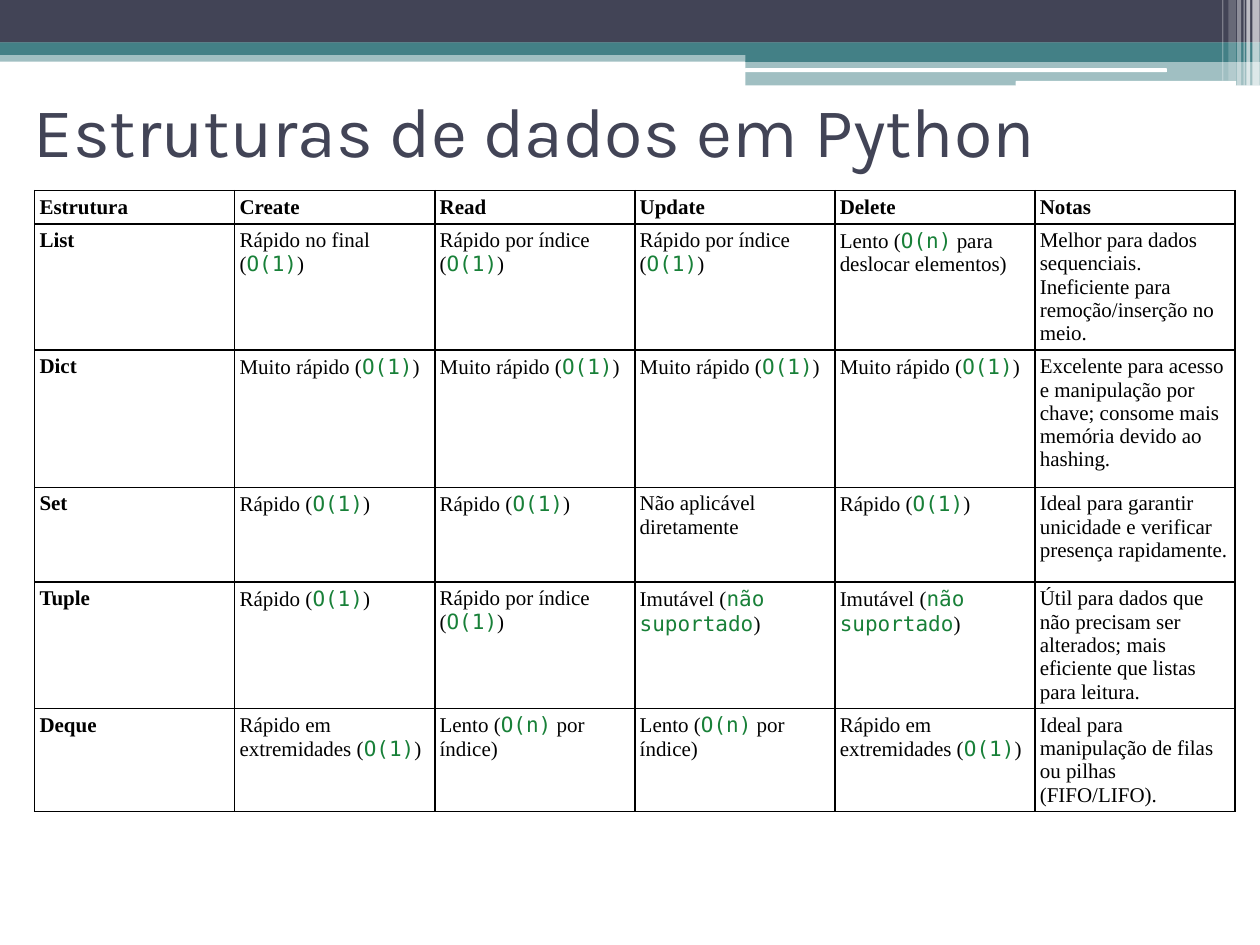
from lxml import etree
from pptx import Presentation
from pptx.dml.color import RGBColor
from pptx.enum.shapes import MSO_SHAPE
from pptx.enum.text import MSO_ANCHOR, PP_ALIGN
from pptx.oxml.ns import qn
from pptx.util import Pt

RECT, ROUND = MSO_SHAPE.RECTANGLE, MSO_SHAPE.ROUNDED_RECTANGLE
MIDDLE, LEFT = MSO_ANCHOR.MIDDLE, PP_ALIGN.LEFT
NAVY = RGBColor(0x42, 0x44, 0x56)
TEAL = RGBColor(0x43, 0x80, 0x86)
WHITE = RGBColor(0xFF, 0xFF, 0xFF)
BLACK = RGBColor(0x00, 0x00, 0x00)
GREEN = RGBColor(0x18, 0x80, 0x38)

BARS = [
    (RECT, 0, 28.8, 720, 6.4, TEAL, 50),
    (RECT, 0, 0, 720, 24.4, NAVY, 100),
    (RECT, 0, 24.2, 720, 7.2, TEAL, 100),
    (RECT, 426, 28.2, 294, 7.2, TEAL, 100),
    (RECT, 426, 34.6, 294, 14.2, TEAL, 50),
    (ROUND, 425.6, 39, 241.2, 2.2, WHITE, 100),
    (ROUND, 580.4, 46.2, 126, 2.9, WHITE, 100),
    (RECT, 715.6, 0, 4.2, 48.9, WHITE, 65),
    (RECT, 712.2, 0, 2.2, 48.9, WHITE, 65),
    (RECT, 710.6, 0, 0.7, 48.9, WHITE, 60),
    (RECT, 707, 0, 2.2, 48.9, WHITE, 40),
    (RECT, 702, 0, 4.3, 46.1, WHITE, 20),
    (RECT, 698.4, 0, 0.7, 46.1, WHITE, 30),
]

ROWS = [
    (14, ["Estrutura", "Create", "Read", "Update", "Delete", "Notas"]),
    (70.9, ["List", "Rápido no final (`O(1)`)", "Rápido por índice (`O(1)`)",
            "Rápido por índice (`O(1)`)", "Lento (`O(n)` para deslocar elementos)",
            "Melhor para dados sequenciais. Ineficiente para remoção/inserção no meio."]),
    (78.4, ["Dict"] + ["Muito rápido (`O(1)`)"] * 4
     + ["Excelente para acesso e manipulação por chave; consome mais memória devido ao hashing."]),
    (54.2, ["Set", "Rápido (`O(1)`)", "Rápido (`O(1)`)", "Não aplicável diretamente",
            "Rápido (`O(1)`)",
            "Ideal para garantir unicidade e verificar presença rapidamente."]),
    (70.9, ["Tuple", "Rápido (`O(1)`)", "Rápido por índice (`O(1)`)",
            "Imutável (`não suportado`)", "Imutável (`não suportado`)",
            "Útil para dados que não precisam ser alterados; mais eficiente que listas para leitura."]),
    (54.2, ["Deque", "Rápido em extremidades (`O(1)`)", "Lento (`O(n)` por índice)",
            "Lento (`O(n)` por índice)", "Rápido em extremidades (`O(1)`)",
            "Ideal para manipulação de filas ou pilhas (FIFO/LIFO)."]),
]


def add_borders(cell):
    tcPr = cell._tc.get_or_add_tcPr()
    for side in ("a:lnL", "a:lnR", "a:lnT", "a:lnB"):
        ln = etree.SubElement(tcPr, qn(side), w=str(Pt(1)))
        fill = etree.SubElement(ln, qn("a:solidFill"))
        etree.SubElement(fill, qn("a:srgbClr"), val=str(BLACK))


def fill_cell(cell, text, bold):
    cell.margin_left = cell.margin_right = Pt(2.8)
    cell.margin_top = cell.margin_bottom = Pt(2.8)
    add_borders(cell)
    cell.fill.background()
    p = cell.text_frame.paragraphs[0]
    p.space_after = Pt(4)
    p.font.size = Pt(12)
    p.font.bold = bold
    for i, part in enumerate(text.split("`")):
        r = p.add_run()
        r.text = part
        r.font.name = "DejaVu Sans Mono" if i % 2 else "Times New Roman"
        r.font.color.rgb = GREEN if i % 2 else BLACK


prs = Presentation()
prs.slide_width, prs.slide_height = Pt(720), Pt(540)
s = prs.slides.add_slide(prs.slide_layouts[5])

for kind, x, y, w, h, color, opacity in BARS:
    sp = s.shapes.add_shape(kind, Pt(x), Pt(y), Pt(w), Pt(h))
    sp.shadow.inherit = False
    sp.fill.solid()
    sp.fill.fore_color.rgb = color
    sp.line.fill.background()
    if opacity < 100:
        clr = sp.fill._xPr.find(".//" + qn("a:srgbClr"))
        etree.SubElement(clr, qn("a:alpha"), val=str(opacity * 1000))

title = s.shapes.title
s.shapes._spTree.append(title._element)
title.left, title.top, title.width, title.height = Pt(12.2), Pt(31.7), Pt(648), Pt(84.2)
tf = title.text_frame
tf.text = "Estruturas de dados em Python"
tf.vertical_anchor = MIDDLE
p = tf.paragraphs[0]
p.alignment = LEFT
p.font.name = "Karla"
p.font.size = Pt(40)
p.font.color.rgb = NAVY

table = s.shapes.add_table(len(ROWS), 6, Pt(19.8), Pt(109), Pt(686), Pt(371)).table
table.first_row = table.horz_banding = False
for col in table.columns:
    col.width = Pt(114.33)
for i, (height, texts) in enumerate(ROWS):
    table.rows[i].height = Pt(height)
    for j, text in enumerate(texts):
        fill_cell(table.cell(i, j), text, i == 0 or j == 0)

prs.save("out.pptx")
